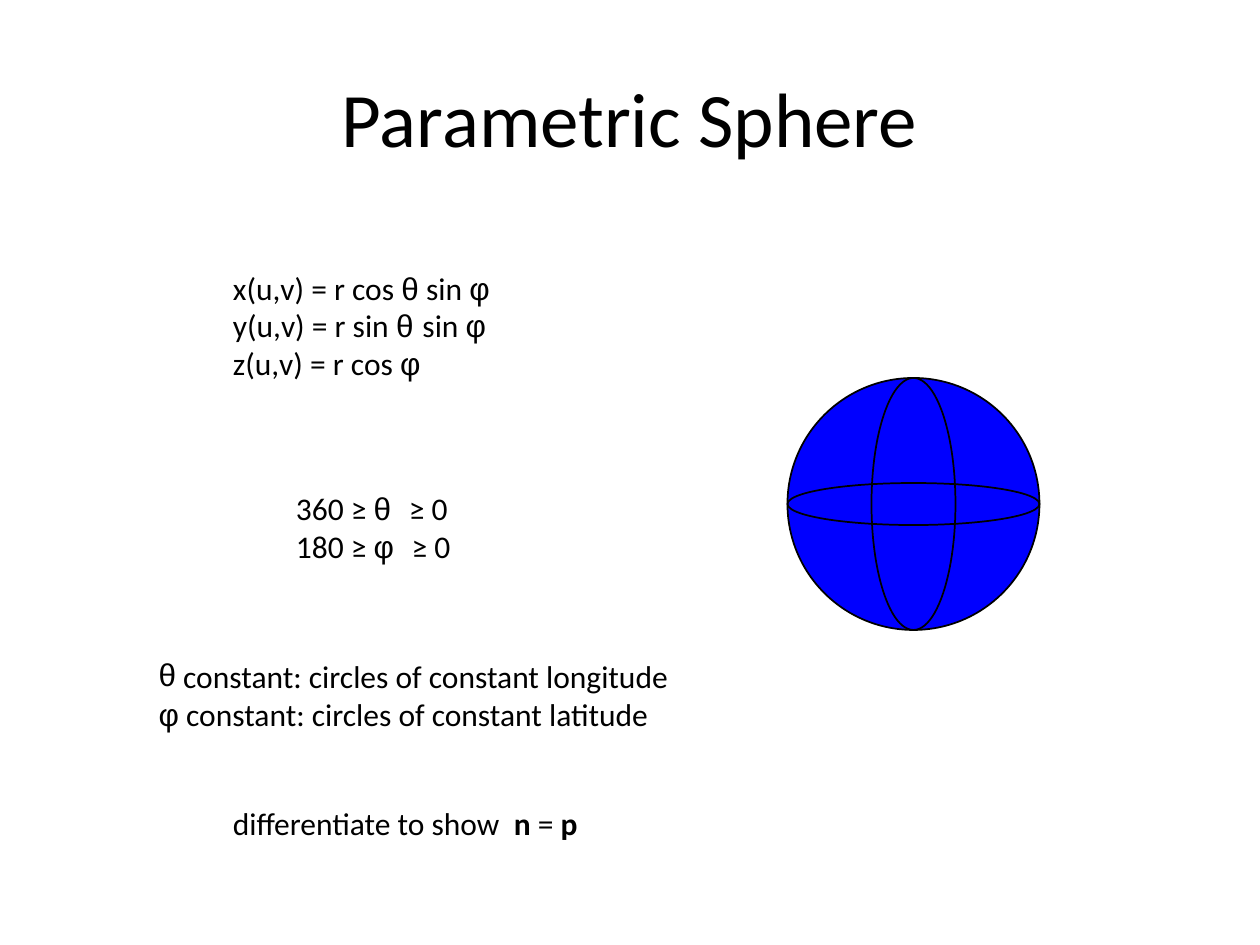
from lxml.etree import SubElement
from pptx import Presentation
from pptx.dml.color import RGBColor
from pptx.enum.shapes import MSO_SHAPE
from pptx.enum.text import MSO_ANCHOR, MSO_AUTO_SIZE, PP_ALIGN
from pptx.oxml.ns import qn
from pptx.util import Pt

BLACK = RGBColor(0x00, 0x00, 0x00)
BLUE = RGBColor(0x00, 0x00, 0xFF)

PLAIN = {"name": "Calibri", "size": Pt(18)}
GREEK = {**PLAIN, "name": "Arial"}
BOLD = {**PLAIN, "bold": True}
TITLE = {**PLAIN, "size": Pt(44)}

EQUATIONS = [
    [("x(u,v) = r cos ", PLAIN), ("θ", GREEK), (" sin ", PLAIN), ("φ", GREEK)],
    [("y(u,v) = r sin ", PLAIN), ("θ ", GREEK), ("sin ", PLAIN), ("φ", GREEK)],
    [("z(u,v) = r cos ", PLAIN), ("φ", GREEK)],
]
RANGES = [
    [("360 ≥ ", PLAIN), ("θ  ", GREEK), ("≥ 0", PLAIN)],
    [("180 ≥ ", PLAIN), ("φ  ", GREEK), ("≥ 0", PLAIN)],
]
CIRCLES = [
    [(" constant: circles of constant longitude", PLAIN)],
    [("φ", GREEK), (" constant: circles of constant latitude", PLAIN)],
]
CONCLUSION = [
    [("differentiate to show  ", PLAIN), ("n", BOLD), (" = ", PLAIN), ("p", BOLD)],
]


def add_runs(paragraph, runs):
    for text, style in runs:
        run = paragraph.add_run()
        run.text = text
        run.font.color.rgb = BLACK
        for attribute, value in style.items():
            setattr(run.font, attribute, value)


def add_bullet(paragraph, character):
    properties = paragraph._p.get_or_add_pPr()
    properties.set("marL", "0")
    properties.set("indent", "0")
    SubElement(properties, qn("a:buFont"), typeface="Arial")
    SubElement(properties, qn("a:buChar"), char=character)


def add_title(slide, left, top, width, height, text):
    frame = slide.shapes.add_textbox(Pt(left), Pt(top), Pt(width), Pt(height)).text_frame
    frame.word_wrap = True
    frame.vertical_anchor = MSO_ANCHOR.MIDDLE
    frame.paragraphs[0].alignment = PP_ALIGN.CENTER
    add_runs(frame.paragraphs[0], [(text, TITLE)])


def add_lines(slide, left, top, width, height, lines, bullet=None):
    """Unwrapped text block; the bullet, if any, marks its first line."""
    frame = slide.shapes.add_textbox(Pt(left), Pt(top), Pt(width), Pt(height)).text_frame
    frame.word_wrap = False
    frame.auto_size = MSO_AUTO_SIZE.SHAPE_TO_FIT_TEXT
    for index, runs in enumerate(lines):
        paragraph = frame.add_paragraph() if index else frame.paragraphs[0]
        if bullet and index == 0:
            add_bullet(paragraph, bullet)
        add_runs(paragraph, runs)


def add_sphere(slide, left, top, diameter):
    """Filled disc with an equator and a meridian centred on it."""
    outlines = [
        (diameter, diameter, BLUE),
        (diameter, diameter / 6, None),
        (diameter / 3, diameter, None),
    ]
    for width, height, color in outlines:
        ellipse = slide.shapes.add_shape(
            MSO_SHAPE.OVAL,
            Pt(left + (diameter - width) / 2), Pt(top + (diameter - height) / 2),
            Pt(width), Pt(height))
        ellipse.shadow.inherit = False
        if color is None:
            ellipse.fill.background()
        else:
            ellipse.fill.solid()
            ellipse.fill.fore_color.rgb = color
        ellipse.line.color.rgb = BLACK
        ellipse.line.width = Pt(1)


def main():
    presentation = Presentation()
    presentation.slide_width, presentation.slide_height = Pt(720), Pt(540)
    slide = presentation.slides.add_slide(presentation.slide_layouts[6])

    add_title(slide, 36, 21.6, 648, 90, "Parametric Sphere")
    add_sphere(slide, 450, 216, 144)

    # Formulas and notes, from top to bottom
    add_lines(slide, 126, 150, 215, 93.6, EQUATIONS)
    add_lines(slide, 162, 276, 131, 64.8, RANGES)
    add_lines(slide, 83.6, 372, 396.8, 64.8, CIRCLES, bullet="θ")
    add_lines(slide, 126, 456, 277, 36, CONCLUSION)

    presentation.save("out.pptx")


if __name__ == "__main__":
    main()
